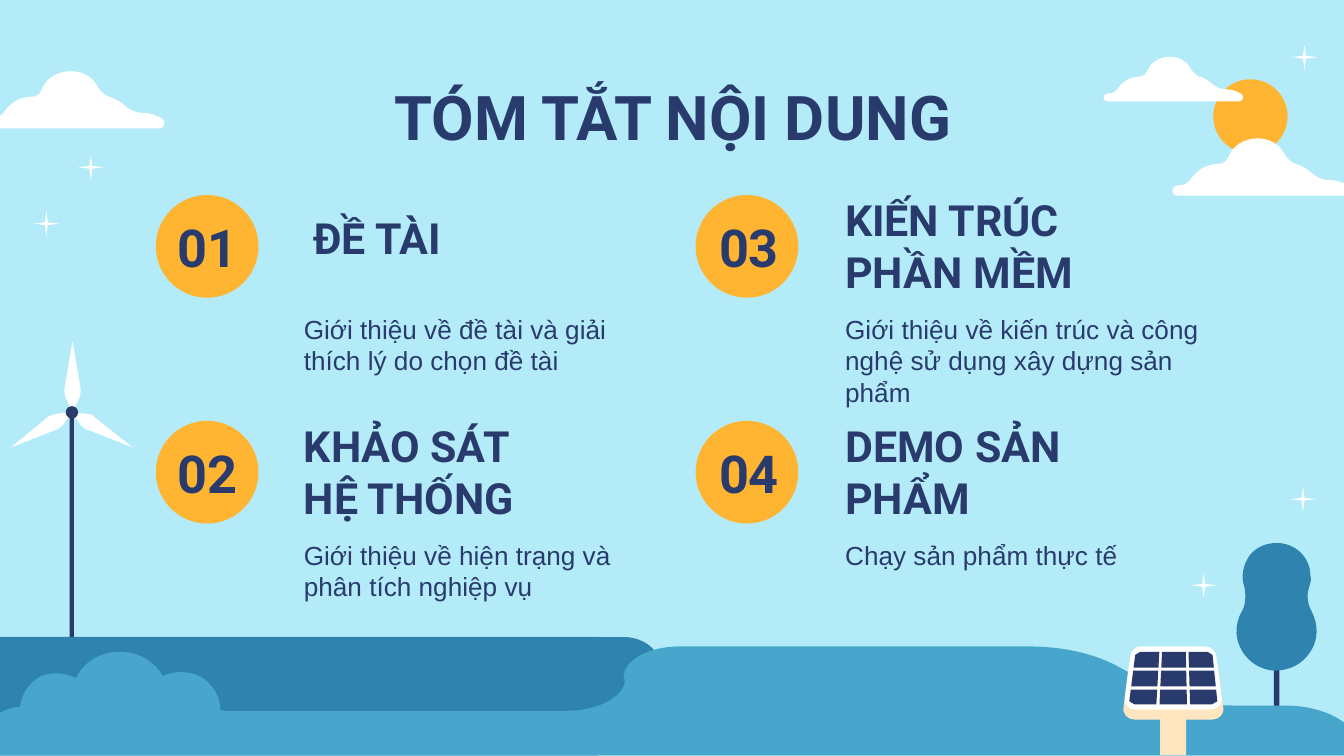
from lxml import etree
from pptx import Presentation
from pptx.dml.color import RGBColor
from pptx.enum.shapes import MSO_SHAPE
from pptx.enum.text import MSO_ANCHOR, MSO_AUTO_SIZE, PP_ALIGN
from pptx.oxml.ns import qn
from pptx.util import Pt

COLORS = {"sky": "B4EBF9", "navy": "293B6D", "deep": "2E84AF", "water": "48A6CC",
          "sun": "FFB531", "white": "FFFFFF", "sand": "FFE5C0"}
TITLE = "TÓM TẮT NỘI DUNG"
# number, heading, description, column, row, description width, heading shift (x, y)
TOPICS = [
    ("01", "ĐỀ TÀI", "Giới thiệu về đề tài và giải thích lý do chọn đề tài", 0, 0, 196, (5, -18)),
    ("02", "KHẢO SÁT\nHỆ THỐNG", "Giới thiệu về hiện trạng và phân tích nghiệp vụ", 0, 1, 196, (0, 0)),
    ("03", "KIẾN TRÚC PHẦN MỀM",
     "Giới thiệu về kiến trúc và công nghệ sử dụng xây dựng sản phẩm", 1, 0, 221, (0, 0)),
    ("04", "DEMO SẢN PHẨM", "Chạy sản phẩm thực tế", 1, 1, 196, (0, 0)),
]
COLUMN_GAP, ROW_GAP = 290, 121

# Scenery is drawn on a grid of 0.72 pt. Pairs are corners; six numbers are a cubic curve.
GRID = 0.72
CROWN = [(950, 404), (942, 404, 935, 407, 930, 413), (925, 420, 923, 429, 926, 437),
         (927, 443, 927, 450, 924, 455), (921, 460, 920, 465, 920, 471),
         (921, 486, 933, 498, 948, 499), (960, 499, 969, 494, 975, 485),
         (981, 476, 981, 465, 976, 455), (973, 450, 972, 443, 974, 437),
         (975, 434, 976, 431, 975, 428), (975, 415, 964, 404, 950, 404)]
FAR_BANK = [(0, 474), (0, 504), (75, 504), (87, 504, 99, 509, 107, 517), (119, 528),
            (126, 535, 135, 539, 144, 539), (199, 539), (206, 542), (221, 561),
            (565, 561), (485, 482), (480, 477, 472, 474, 464, 474)]
NEAR_BANK = [(506, 481), (483, 481, 464, 491, 464, 504), (465, 506), (465, 518, 446, 529, 421, 529),
             (91, 529), (81, 529, 71, 531, 64, 535), (50, 542), (44, 545, 37, 547, 28, 547),
             (13, 547), (1, 547, -9, 552, -9, 559), (-9, 562), (1009, 562), (1009, 553),
             (1009, 538, 985, 525, 956, 525), (918, 525), (898, 525, 879, 521, 865, 514),
             (830, 495), (813, 486, 790, 481, 765, 481)]
BUSH = [(89, 485), (75, 485, 63, 492, 57, 504), (55, 504), (46, 500, 37, 500, 29, 504),
        (21, 509, 16, 517, 15, 526), (-3, 527, -17, 542, -18, 560), (195, 560),
        (191, 544, 179, 532, 164, 528), (164, 518, 158, 509, 150, 504),
        (141, 499, 130, 499, 121, 503), (115, 492, 103, 485, 89, 485)]
BLADES = [
    [(54, 254), (48, 289), (48, 292, 48, 294, 49, 296), (54, 307), (59, 296),
     (60, 294, 60, 292, 60, 289)],
    [(54, 306), (42, 308), (40, 308, 38, 309, 36, 310), (8, 333), (41, 320),
     (44, 319, 45, 318, 47, 316)],
    [(53, 307), (60, 316), (62, 318, 64, 320, 66, 320), (99, 333), (71, 311),
     (70, 309, 68, 308, 65, 308)],
]
STAR_SIZE = 13.7
STAR_PLACES = [(41.8, 82.8), (18, 113), (692, 23.8), (691.2, 260.6), (638, 306.7)]
CLOUD = [(65, 0), (54, 0, 46, 6, 43, 14), (42, 17, 39, 19, 36, 19), (27, 19, 21, 23, 16, 29),
         (14, 33, 10, 35, 6, 35), (0, 35, 0, 42.5, 5, 42.5), (131, 42.5),
         (134, 42.5, 136, 38, 133, 35.5), (129, 33, 124, 31, 118, 31),
         (112, 31, 107, 28, 103, 24), (100, 22, 97, 20, 93, 19),
         (90, 18, 87, 15, 85, 12), (81, 4, 73, 0, 65, 0)]
LEFT_CLOUD, SUN_CLOUDS = (-12, 53, 1), [(871, 103, 1), (820, 42.3, 0.78)]
PANEL = [(13, 0), (9, 0, 6, 3, 5, 7), (1, 38), (0, 43, 4, 47, 9, 47), (65, 47),
         (70, 47, 74, 43, 73, 38), (69, 7), (68, 3, 65, 0, 61, 0)]
PANEL_TOP, PANEL_BOTTOM = (845, 902, 485), (840, 906, 524)  # left, right, height
CELL_COLUMNS = [(0, 0.31), (0.345, 0.655), (0.69, 1)]
CELL_ROWS = [(0, 0.3), (0.36, 0.66), (0.72, 1)]


def paint(shape, color):
    shape.shadow.inherit = False
    shape.fill.solid()
    shape.fill.fore_color.rgb = RGBColor.from_string(COLORS[color])
    shape.line.fill.background()


def draw(outlines, color, left=0, top=0, size=1):
    """Draw closed outlines as one shape, first by its points, then with real curves."""
    builder = None
    for outline in outlines:
        points = [(Pt((left + part[i] * size) * GRID), Pt((top + part[i + 1] * size) * GRID))
                  for part in outline for i in range(0, len(part), 2)]
        if builder is None:
            builder = slide.shapes.build_freeform(*points[0])
        else:
            builder.move_to(*points[0])
        builder.add_line_segments(points[1:], close=True)
    shape = builder.convert_to_shape()
    lines = iter(list(shape._element.iter(qn("a:lnTo"))))
    for outline in outlines:
        for part in outline[1:]:
            line = next(lines)
            if len(part) == 6:
                curve = etree.Element(qn("a:cubicBezTo"))
                line.addprevious(curve)
                for control in (line, next(lines), next(lines)):
                    curve.append(control[0])
                    control.getparent().remove(control)
    paint(shape, color)


def preset(kind, color, left, top, width, height):
    shape = slide.shapes.add_shape(kind, Pt(left), Pt(top), Pt(width), Pt(height))
    paint(shape, color)
    return shape


def write(box, text, size, font, bold=True, align=PP_ALIGN.LEFT, anchor=MSO_ANCHOR.TOP):
    frame = box.text_frame
    frame.text = text
    frame.word_wrap = True
    frame.auto_size = MSO_AUTO_SIZE.NONE
    frame.vertical_anchor = anchor
    frame.margin_left = frame.margin_right = frame.margin_top = frame.margin_bottom = Pt(7.2)
    for paragraph in frame.paragraphs:
        paragraph.alignment = align
        for run in paragraph.runs:
            run.font.size, run.font.name, run.font.bold = Pt(size), font, bold
            run.font.color.rgb = RGBColor.from_string(COLORS["navy"])


def textbox(left, top, width, height):
    return slide.shapes.add_textbox(Pt(left), Pt(top), Pt(width), Pt(height))


def panel_point(u, v):
    """Map a share of the panel's width and height onto its sloping face."""
    left, right, y = (a + (b - a) * v for a, b in zip(PANEL_TOP, PANEL_BOTTOM))
    return left + (right - left) * u, y


def cell_outline(u0, u1, v0, v1):
    """Outline a cell, cutting the corner that is also a corner of the panel."""
    shares = [(u0, v0), (u1, v0), (u1, v1), (u0, v1)]
    corners = [panel_point(u, v) for u, v in shares]
    outline = []
    for i, (x, y) in enumerate(corners):
        if all(share in (0, 1) for share in shares[i]):
            for nx, ny in (corners[i - 1], corners[(i + 1) % 4]):
                outline.append((x + (nx - x) * 0.2, y + (ny - y) * 0.2))
        else:
            outline.append((x, y))
    return outline


prs = Presentation()
prs.slide_width, prs.slide_height = Pt(720), Pt(405)
slide = prs.slides.add_slide(prs.slide_layouts[5])
slide.background.fill.solid()
slide.background.fill.fore_color.rgb = RGBColor.from_string(COLORS["sky"])

preset(MSO_SHAPE.RECTANGLE, "navy", 682.5, 330.5, 3, 50)
draw([CROWN], "deep")
preset(MSO_SHAPE.RECTANGLE, "deep", 0, 341.2, 320.5, 63.5)
for bank, color in ((FAR_BANK, "deep"), (NEAR_BANK, "water"), (BUSH, "water")):
    draw([bank], color)
for left, top in STAR_PLACES:
    star = preset(MSO_SHAPE.STAR_4_POINT, "white", left, top, STAR_SIZE, STAR_SIZE)
    star.adjustments[0] = 0.08
draw([CLOUD], "white", *LEFT_CLOUD)
draw(BLADES, "white")
preset(MSO_SHAPE.RECTANGLE, "navy", 37.4, 222, 2.2, 119.3)
preset(MSO_SHAPE.OVAL, "navy", 35.2, 217.6, 6.7, 6.7)

title = slide.shapes.title
title.left, title.top, title.width, title.height = Pt(57), Pt(35.3), Pt(607), Pt(45.4)
write(title, TITLE, 33, "Roboto", align=PP_ALIGN.CENTER)

for number, heading, description, column, row, width, (shift_x, shift_y) in TOPICS:
    x, y = column * COLUMN_GAP, row * ROW_GAP
    preset(MSO_SHAPE.OVAL, "sun", 83.5 + column * 289.2, 104.5 + y, 55, 55)
    write(textbox(78.5 + x, 114.5 + y, 65.5, 35.3), number, 28, "Roboto",
          align=PP_ALIGN.CENTER, anchor=MSO_ANCHOR.MIDDLE)
    write(textbox(155.7 + x + shift_x, 108 + y + shift_y, 196, 58.3), heading, 23, "Roboto",
          anchor=MSO_ANCHOR.BOTTOM)
    write(textbox(155.7 + x, 160.6 + y, width, 38.2), description, 14, "Arial", bold=False)

preset(MSO_SHAPE.OVAL, "sun", 650, 42.5, 39.8, 39.8)
for cloud in SUN_CLOUDS:
    draw([CLOUD], "white", *cloud)

draw([PANEL], "sand", 835, 487, 1.03)
draw([PANEL], "white", 836, 481)
draw([cell_outline(*columns, *rows) for rows in CELL_ROWS for columns in CELL_COLUMNS], "navy")
preset(MSO_SHAPE.RECTANGLE, "sand", 621.5, 385, 14, 19.6)

prs.save("out.pptx")
